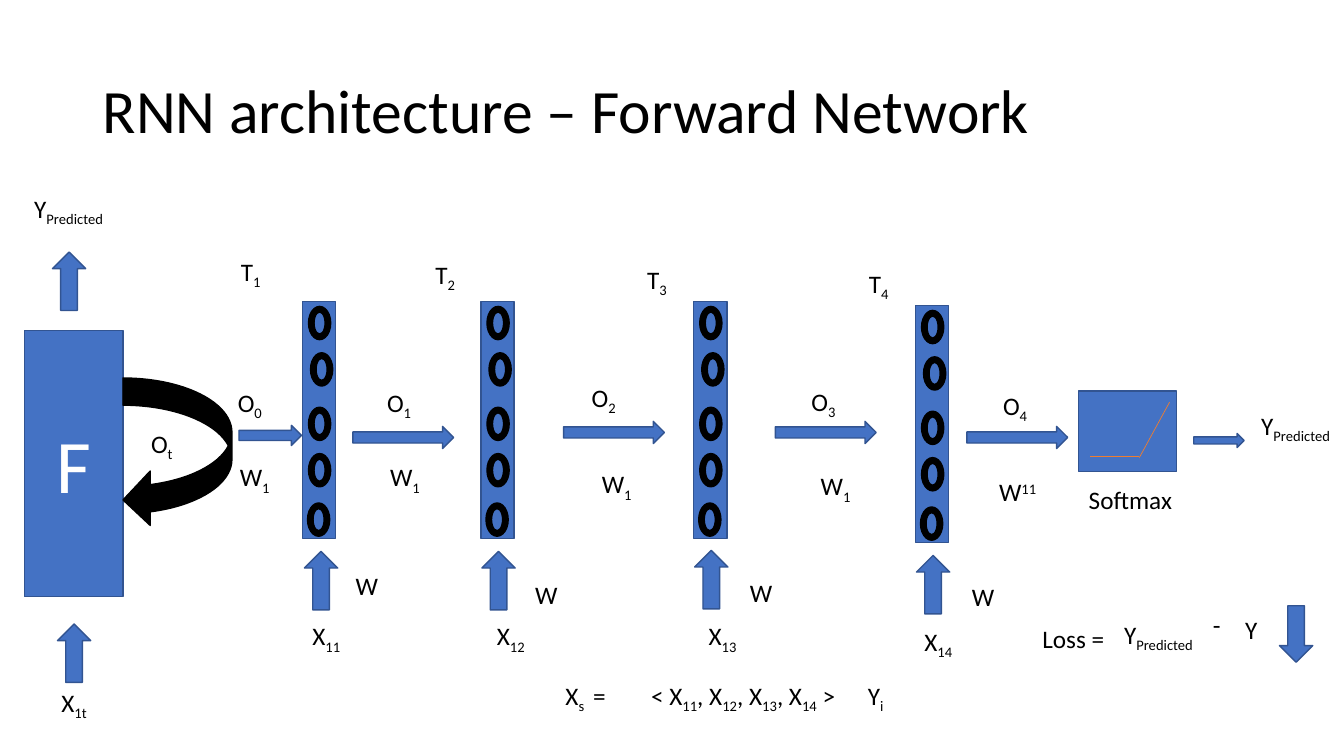
from lxml import etree
from pptx import Presentation
from pptx.dml.color import RGBColor
from pptx.enum.shapes import MSO_CONNECTOR, MSO_SHAPE as SHAPE
from pptx.enum.text import MSO_ANCHOR as ANCHOR, PP_ALIGN as ALIGN
from pptx.oxml.ns import qn
from pptx.util import Pt

PX = 9144  # 100 px to the inch
FONT = "Calibri"
BLACK = RGBColor(0x00, 0x00, 0x00)
WHITE = RGBColor(0xFF, 0xFF, 0xFF)
BLUE = RGBColor(0x44, 0x72, 0xC4)
NAVY = RGBColor(0x32, 0x54, 0x91)
ORANGE = RGBColor(0xED, 0x7D, 0x31)

SUB, SUPER = -25000, 30000
LABEL_H = 40
CELL_W, CELL_H = 33, 235
NEURONS = [(6, 5), (8, 51), (6, 105), (6, 151), (5, 200)]  # offsets in a cell

# cell, time label, input arrow, weight label, input label
TIME_STEPS = [
    ((300, 299), (229, 249), (302, 547), (343, 561), (300, 611)),
    ((477, 299), (422, 252), (478, 547), (521, 570), (483, 611)),
    ((688, 299), (632, 257), (689, 546), (734, 568), (693, 611)),
    ((908, 303), (852, 261), (909, 551), (954, 572), (907, 616)),
]
# arrow box, output label, weight label, weight index, shift of the index
OUTPUTS = [
    ((237, 422, 62, 20), (226, 379), (228, 453), "1", SUB),
    ((350, 423, 100, 22), (374, 379), (377, 453), "1", SUB),
    ((559, 418, 100, 22), (577, 374), (587, 460), "1", SUB),
    ((769, 418, 100, 22), (795, 378), (804, 462), "1", SUB),
    ((959, 423, 100, 22), (985, 382), (981, 468), "11", SUPER),
]


def emu(*lengths):
    return [n * PX for n in lengths]


def add_run(p, text, size, color=BLACK, shift=0):
    r = p.add_run()
    r.text = text
    r.font.name, r.font.size = FONT, Pt(size)
    r.font.color.rgb = color
    if shift:
        r.font._element.set("baseline", str(shift))


def add_label(s, x, y, w, *parts, shift=SUB):
    """Write parts in turn on the baseline and shifted off it."""
    tf = s.shapes.add_textbox(*emu(x, y, w, LABEL_H)).text_frame
    tf.word_wrap = True
    p = tf.paragraphs[0]
    for i, part in enumerate(parts):
        add_run(p, part, 18, shift=shift if i % 2 else 0)
    return p


def add_tab_stops(p, *stops):
    tabs = etree.SubElement(p._p.get_or_add_pPr(), qn("a:tabLst"))
    for stop in stops:
        etree.SubElement(tabs, qn("a:tab"), pos=str(stop * PX), algn="l")


def add_block(s, kind, x, y, w, h, fill=BLUE, line=NAVY):
    sp = s.shapes.add_shape(kind, *emu(x, y, w, h))
    sp.shadow.inherit = False
    sp.fill.solid()
    sp.fill.fore_color.rgb = fill
    sp.line.color.rgb = line
    sp.line.width = Pt(1)
    return sp


def add_up_arrow(s, x, y):
    add_block(s, SHAPE.UP_ARROW, x, y, 33, 58)


def add_line(s, x1, y1, x2, y2):
    cxn = s.shapes.add_connector(MSO_CONNECTOR.STRAIGHT, *emu(x1, y1, x2, y2))
    cxn.line.color.rgb = ORANGE
    cxn.line.width = Pt(0.5)
    etree.SubElement(cxn._element.spPr, qn("a:effectLst"))


def add_title(s, text):
    tf = s.shapes.add_textbox(*emu(92, 40, 1150, 145)).text_frame
    tf.word_wrap = True
    tf.vertical_anchor = ANCHOR.MIDDLE
    p = tf.paragraphs[0]
    p.line_spacing = 0.9
    add_run(p, text, 44)


def add_folded_network(s):
    add_label(s, 24, 187, 98, "Y", "Predicted")
    add_up_arrow(s, 52, 250)
    sp = add_block(s, SHAPE.RECTANGLE, 24, 328, 98, 264)
    tf = sp.text_frame
    tf.vertical_anchor = ANCHOR.MIDDLE
    p = tf.paragraphs[0]
    p.alignment = ALIGN.CENTER
    add_run(p, "F", 54, WHITE)
    add_block(s, SHAPE.CURVED_LEFT_ARROW, 122, 375, 108, 148, BLACK, BLACK)
    add_label(s, 140, 420, 50, "O", "t")
    add_up_arrow(s, 57, 619)
    add_label(s, 51, 677, 56, "X", "1t")


def add_time_step(s, n, cell, time, arrow, weight, word):
    x, y = cell
    add_block(s, SHAPE.RECTANGLE, x, y, CELL_W, CELL_H)
    for dx, dy in NEURONS:
        add_block(s, SHAPE.DONUT, x + dx, y + dy, 22, 33, BLACK, BLACK)
    add_label(s, *time, 83, "T", str(n))
    add_up_arrow(s, *arrow)
    add_label(s, *weight, 97, "W")
    add_label(s, *word, 76, "X", f"1{n}")


def add_output(s, n, arrow, output, weight, index, shift):
    add_block(s, SHAPE.RIGHT_ARROW, *arrow)
    add_label(s, *output, 48, "O", str(n))
    add_label(s, *weight, 78, "W", index, shift=shift)


def add_softmax(s):
    add_block(s, SHAPE.RECTANGLE, 1070, 388, 97, 80)
    add_line(s, 1081, 453, 1130, 453)
    add_line(s, 1130, 454, 1160, 399)
    add_label(s, 1070, 476, 153, "Softmax")
    add_block(s, SHAPE.RIGHT_ARROW, 1184, 430, 50, 14)
    add_label(s, 1241, 402, 98, "Y", "Predicted")


def add_loss(s):
    add_label(s, 1024, 613, 281, "Loss =")
    add_label(s, 1105, 609, 98, "Y", "Predicted")
    add_label(s, 1193, 600, 48, "-")
    add_label(s, 1225, 605, 48, "Y")
    add_block(s, SHAPE.DOWN_ARROW, 1269, 601, 33, 56)


def add_sample(s):
    p = add_label(s, 551, 670, 356, "X", "s ", " =\t< X", "11", ", X", "12",
                  ", X", "13", ", X", "14", " >\tY", "i")
    add_tab_stops(p, 85, 300)


def main():
    prs = Presentation()
    prs.slide_width, prs.slide_height = emu(1333, 750)
    s = prs.slides.add_slide(prs.slide_layouts[6])
    add_title(s, "RNN architecture – Forward Network")
    add_folded_network(s)
    add_sample(s)
    for n, step in enumerate(TIME_STEPS, 1):
        add_time_step(s, n, *step)
    for n, output in enumerate(OUTPUTS):
        add_output(s, n, *output)
    add_softmax(s)
    add_loss(s)
    prs.save("out.pptx")


if __name__ == "__main__":
    main()
